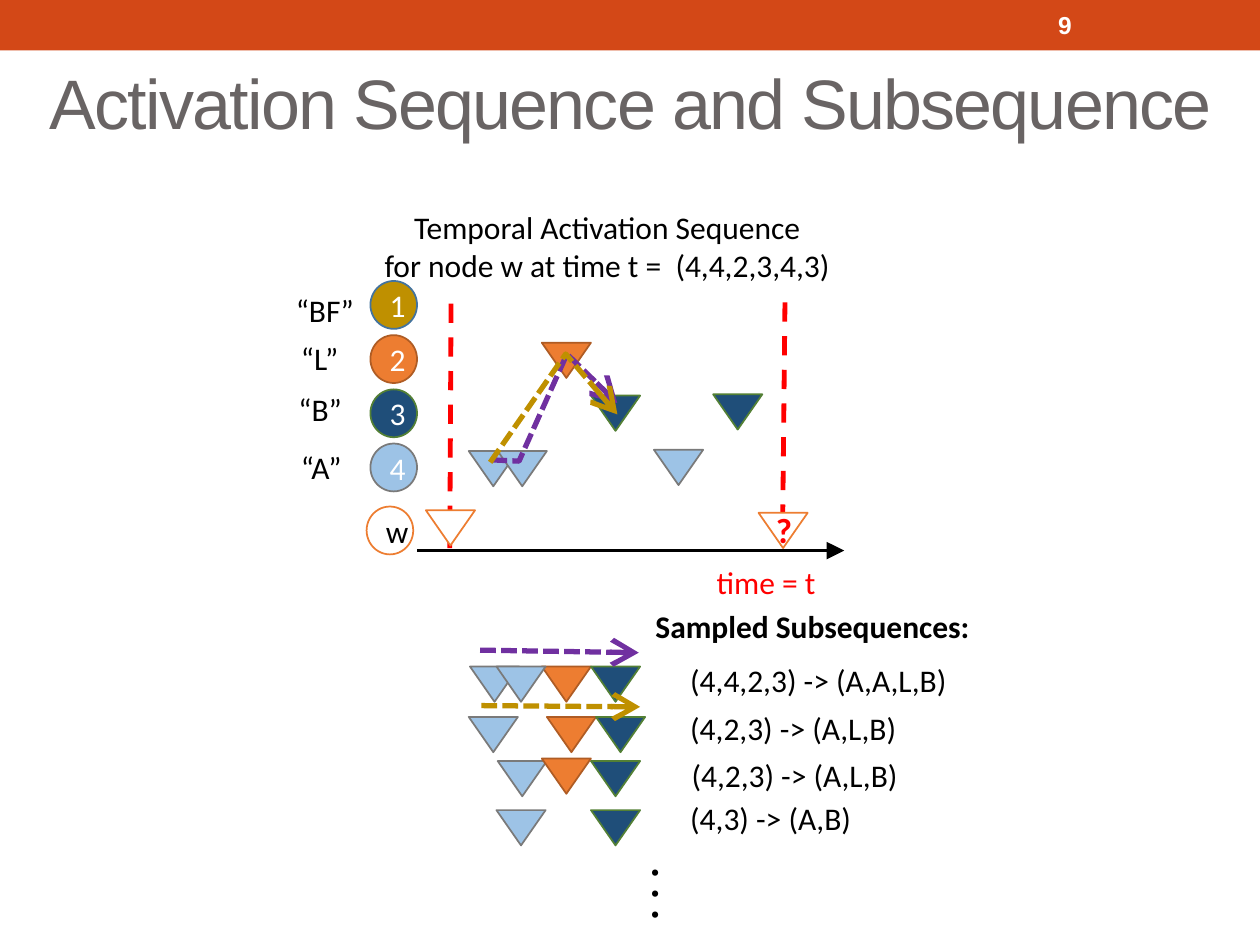
"""Build the slide on activation sequences and sampled subsequences."""
from lxml import etree
from pptx import Presentation
from pptx.dml.color import RGBColor
from pptx.enum.dml import MSO_LINE
from pptx.enum.shapes import MSO_CONNECTOR, MSO_SHAPE
from pptx.enum.text import MSO_ANCHOR, MSO_AUTO_SIZE, PP_ALIGN
from pptx.oxml.ns import qn
from pptx.util import Inches, Pt

RECT, OVAL, TRI = MSO_SHAPE.RECTANGLE, MSO_SHAPE.OVAL, MSO_SHAPE.ISOSCELES_TRIANGLE
LEFT, MID = PP_ALIGN.LEFT, PP_ALIGN.CENTER
TOP, CENTER = MSO_ANCHOR.TOP, MSO_ANCHOR.MIDDLE
FIT, FIXED = MSO_AUTO_SIZE.SHAPE_TO_FIT_TEXT, MSO_AUTO_SIZE.NONE
DASH, DOTS = MSO_LINE.DASH, MSO_LINE.SQUARE_DOT
STRAIGHT = MSO_CONNECTOR.STRAIGHT

HEX = {
    "bar": "D34817", "title": "696464", "black": "000000", "white": "FFFFFF",
    "red": "FF0000", "purple": "7030A0", "gold": "BF9000", "orange": "ED7D31",
    "navy": "1F4E79", "sky": "9DC3E6", "blue": "43739E", "rust": "AF5C24",
    "green": "538035", "gray": "7A7A7A",
}
KINDS = {
    "BF": ("gold", "blue"), "L": ("orange", "rust"), "B": ("navy", "green"),
    "A": ("sky", "gray"), "w": ("white", "orange"),
}
TITLE = "Activation Sequence and Subsequence"
LABELS = [
    ("“A”", 2.29, 3.51, 0.53), ("“B”", 2.27, 3.05, 0.55),
    ("“L”", 2.29, 2.64, 0.52), ("“BF”", 2.25, 2.26, 0.66),
]
NODES = ["BF", "L", "B", "A"]
EVENTS = [
    ("A", 3.72, 3.58), ("A", 3.95, 3.58), ("B", 4.69, 3.14),
    ("L", 4.3, 2.72), ("A", 5.19, 3.57), ("B", 5.66, 3.13),
]
ROWS = [
    (5.29, [("L", 4.3), ("A", 3.73), ("A", 3.94), ("B", 4.69)]),
    (5.69, [("A", 3.72), ("L", 4.34), ("B", 4.73)]),
    (6.04, [("A", 3.95), ("B", 4.69)]),
    (6.02, [("L", 4.3)]),
    (6.43, [("A", 3.94), ("B", 4.69)]),
]
SAMPLES = [
    ("(4,4,2,3) -> (A,A,L,B)", 5.38, 5.2, 2.26),
    ("(4,2,3) -> (A,L,B)", 5.38, 5.58, 1.86),
    ("(4,2,3) -> (A,L,B)", 5.39, 5.95, 1.92),
    ("(4,3) -> (A,B)", 5.38, 6.29, 1.5),
]
AXES = [
    ((3.58, 2.41), (3.57, 4.35), "red", 2.75, DASH, None),
    ((3.31, 4.37), (6.7, 4.37), "black", 2, None, "triangle"),
    ((6.23, 2.4), (6.21, 4.33), "red", 2.75, DASH, None),
]
HEADING = ["Temporal Activation Sequence", "for node w at time t =  (4,4,2,3,4,3)"]
TRAILS = [
    ("purple", (3.81, 5.16), (5.07, 5.18),
     [(3.9, 3.65), (4.12, 3.66), (4.5, 2.81), (4.9, 3.2)]),
    ("gold", (3.82, 5.6), (5.08, 5.61),
     [(3.89, 3.67), (4.49, 2.81), (4.9, 3.29)]),
]


def rgb(name):
    return RGBColor.from_string(HEX[name])


def write(shape, lines, hue="black", size=18, bold=False, face="Calibri",
          align=LEFT, **frame):
    text = shape.text_frame
    for key, val in frame.items():
        setattr(text, key, val)
    text.text = "\n".join(lines)
    look = {"name": face, "size": Pt(size), "bold": bold}
    for para in text.paragraphs:
        para.alignment = align
        font = para.runs[0].font
        for key, val in look.items():
            setattr(font, key, val)
        font.color.rgb = rgb(hue)


def label(pool, lines, x, y, w, h=0.4, **form):
    box = pool.add_textbox(*map(Inches, (x, y, w, h)))
    write(box, lines, **{"word_wrap": False, "auto_size": FIT, **form})
    return box


def block(pool, form, x, y, w, h, fill, edge=None):
    shape = pool.add_shape(form, *map(Inches, (x, y, w, h)))
    shape.shadow.inherit = False
    shape.fill.solid()
    shape.fill.fore_color.rgb = rgb(fill)
    if edge:
        shape.line.color.rgb = rgb(edge)
        shape.line.width = Pt(1)
    else:
        shape.line.fill.background()
    return shape


def node(pool, kind, text, x, y, hue="white"):
    disk = block(pool, OVAL, x, y, 0.37, 0.38, *KINDS[kind])
    write(disk, [text], hue=hue, align=MID, vertical_anchor=CENTER)


def event(pool, kind, x, y):
    mark = block(pool, TRI, x, y, 0.39, 0.28, *KINDS[kind])
    mark._element.spPr.xfrm.set("flipV", "1")


def stroke(shape, hue, width, dash, head):
    line = shape.line
    line.color.rgb = rgb(hue)
    line.width = Pt(width)
    if dash:
        line.dash_style = dash
    if head:
        form = {"type": head, "w": "lg", "len": "lg"}
        etree.SubElement(line._get_or_add_ln(), qn("a:tailEnd"), form)


def link(pool, start, end, *style):
    wire = pool.add_connector(STRAIGHT, *map(Inches, start + end))
    stroke(wire, *style)
    etree.SubElement(wire._element.spPr, qn("a:effectLst"))


def trail(pool, points, *style):
    first, *rest = [(Inches(x), Inches(y)) for x, y in points]
    pen = pool.build_freeform(*first)
    pen.add_line_segments(rest, close=False)
    shape = pen.convert_to_shape()
    shape.shadow.inherit = False
    shape.fill.background()
    stroke(shape, *style)


def main():
    deck = Presentation()
    deck.slide_width, deck.slide_height = Inches(10), Inches(7.5)
    slide = deck.slides.add_slide(deck.slide_layouts[5])
    pool = slide.shapes
    title = pool.title
    place = {"left": -0.02, "top": 0.42, "width": 10.05, "height": 0.77}
    for key, val in place.items():
        setattr(title, key, Inches(val))
    write(title, [TITLE], hue="title", size=40, face="Arial", align=MID,
          word_wrap=True, auto_size=FIXED, vertical_anchor=TOP)
    title.text_frame.paragraphs[0].runs[0].font._element.set("spc", "-100")
    block(pool, RECT, 0, 0, 10, 0.4, "bar")
    label(pool, ["9"], 8.3, 0.02, 1.17, 0.36, hue="white", size=14, bold=True,
          face="Arial", word_wrap=True, auto_size=FIXED, vertical_anchor=CENTER)

    for text, *spot in LABELS:
        label(pool, [text], *spot)
    for i, kind in enumerate(NODES):
        node(pool, kind, str(i + 1), 2.94, 2.23 + 0.43 * i)
    for mark in EVENTS:
        event(pool, *mark)
    for y, marks in ROWS:
        for kind, x in marks:
            event(pool, kind, x, y)
    for text, *spot in SAMPLES:
        label(pool, [text], *spot)
    dots = label(pool, [". . ."], 5, 6.85, 0.62, 0.5, size=24, bold=True)
    dots.rotation = 90

    for axis in AXES:
        link(pool, *axis)
    label(pool, ["time = t"], 5.59, 4.42, 1, hue="red")
    node(pool, "w", "w", 2.91, 4.02, hue="black")
    event(pool, "w", 3.38, 4.05)
    event(pool, "w", 6.02, 4.07)
    label(pool, ["?"], 6.06, 3.99, 0.33, 0.44, hue="red", size=20, bold=True)
    label(pool, HEADING, 2.93, 1.6, 3.78, 0.71, align=MID)
    head = block(pool, RECT, 5.08, 4.77, 2.74, 0.4, "white")
    write(head, ["Sampled Subsequences:"], bold=True, align=MID,
          word_wrap=True, auto_size=FIT, vertical_anchor=TOP)

    for hue, start, end, points in TRAILS:
        style = (hue, 3, DOTS, "arrow")
        link(pool, start, end, *style)
        trail(pool, points, *style)
    deck.save("out.pptx")


if __name__ == "__main__":
    main()
